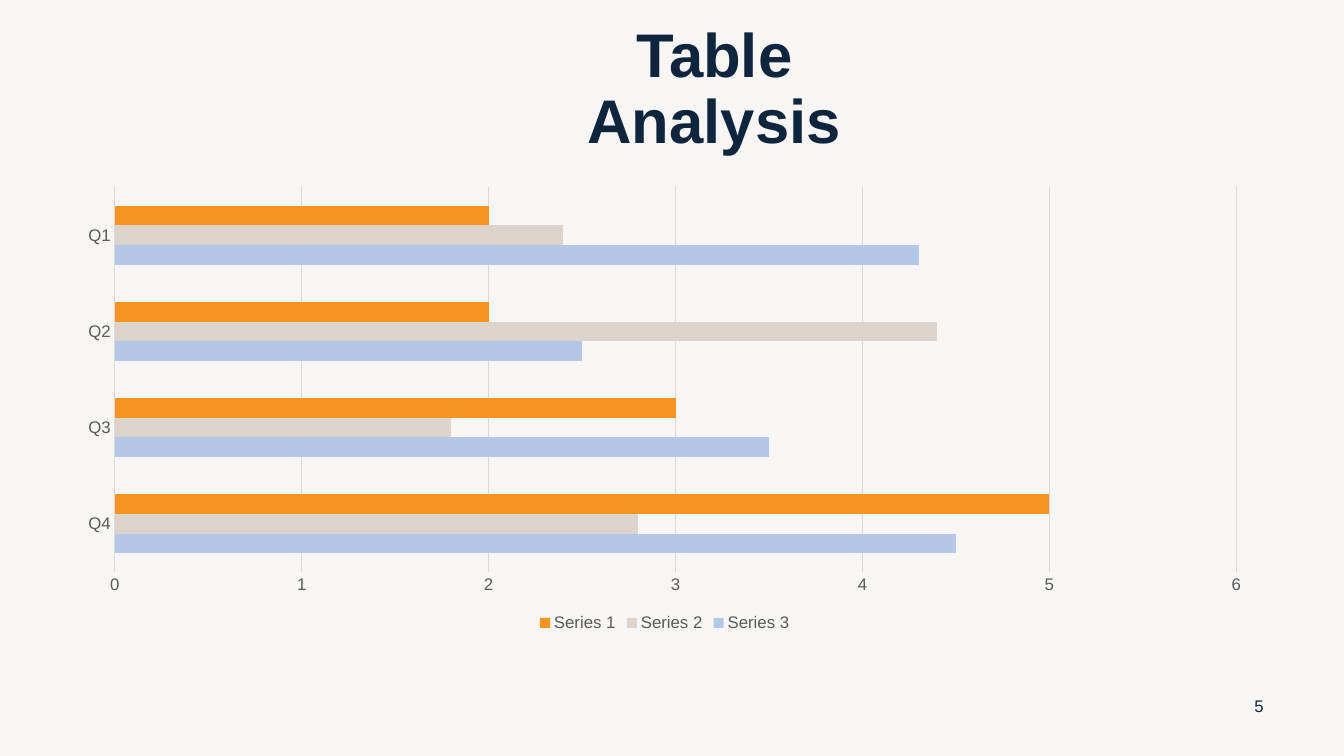
from pptx import Presentation
from pptx.chart.data import CategoryChartData
from pptx.dml.color import RGBColor
from pptx.enum.chart import XL_CHART_TYPE, XL_LEGEND_POSITION, XL_TICK_MARK
from pptx.enum.text import MSO_ANCHOR, PP_ALIGN
from pptx.util import Inches, Pt

COLORS = {
    "background": "F8F6F5",
    "navy": "0F253E",
    "label": "595959",
    "grid": "D9D9D9",
    "blue": "B4C7E7",
    "beige": "DCD3CC",
    "orange": "F79320",
}
FONT = "Arial"
COLUMNS, ROWS = 48, 27

QUARTERS = ["Q4", "Q3", "Q2", "Q1"]
SERIES = [
    ("Series 3", "blue", (4.5, 3.5, 2.5, 4.3)),
    ("Series 2", "beige", (2.8, 1.8, 4.4, 2.4)),
    ("Series 1", "orange", (5, 3, 2, 2)),
]


def apply(target, values):
    for name, value in values.items():
        setattr(target, name, value)


class SlideBuilder:
    """Holds the style, the grid and the current slide."""

    def __init__(self, deck):
        self.column = deck.slide_width / COLUMNS
        self.row = deck.slide_height / ROWS
        self.slide = deck.slides.add_slide(deck.slide_layouts[6])
        self.fill(self.slide.background, "background")

    def place(self, left, top, width, height):
        """Turn grid columns and rows into slide lengths."""
        return (round(left * self.column), round(top * self.row),
                round(width * self.column), round(height * self.row))

    def fill(self, target, color):
        target.fill.solid()
        target.fill.fore_color.rgb = RGBColor.from_string(COLORS[color])

    def style_font(self, font, size, color, bold=False):
        apply(font, {"name": FONT, "size": Pt(size), "bold": bold})
        font.color.rgb = RGBColor.from_string(COLORS[color])

    def style_line(self, line):
        line.width = Pt(0.75)
        line.color.rgb = RGBColor.from_string(COLORS["grid"])

    def text(self, area, words, size, bold=False, spacing=1.0):
        box = self.slide.shapes.add_textbox(*self.place(*area))
        frame = box.text_frame
        apply(frame, {"word_wrap": True, "vertical_anchor": MSO_ANCHOR.MIDDLE})
        para = frame.paragraphs[0]
        apply(para, {"alignment": PP_ALIGN.CENTER, "line_spacing": spacing})
        span = para.add_run()
        span.text = words
        self.style_font(span.font, size, "navy", bold)

    def bar_chart(self, area, categories, series):
        data = CategoryChartData()
        data.categories = categories
        for name, _, values in series:
            data.add_series(name, values)
        chart = self.slide.shapes.add_chart(
            XL_CHART_TYPE.BAR_CLUSTERED, *self.place(*area), data).chart
        apply(chart, {"has_title": False, "has_legend": True})
        self.style_font(chart.font, 12, "label")
        apply(chart.legend, {"position": XL_LEGEND_POSITION.BOTTOM,
                             "include_in_layout": False})
        self.style_font(chart.legend.font, 12, "label")

        plot = chart.plots[0]
        apply(plot, {"gap_width": 182, "overlap": 0, "vary_by_categories": False})
        for bars, (_, color, _) in zip(plot.series, series):
            self.fill(bars.format, color)
        self.style_axes(chart.category_axis, chart.value_axis)

    def style_axes(self, category_axis, value_axis):
        for axis in (category_axis, value_axis):
            apply(axis, {"major_tick_mark": XL_TICK_MARK.NONE,
                         "minor_tick_mark": XL_TICK_MARK.NONE})
            self.style_font(axis.tick_labels.font, 12, "label")
        self.style_line(category_axis.format.line)
        apply(value_axis, {"minimum_scale": 0, "maximum_scale": 6,
                           "major_unit": 1, "has_major_gridlines": True})
        self.style_line(value_axis.major_gridlines.format.line)
        value_axis.format.line.fill.background()


def main():
    deck = Presentation()
    apply(deck, {"slide_width": Inches(13.33), "slide_height": Inches(7.5)})
    page = SlideBuilder(deck)
    page.text((18.58, 1.04, 13.86, 4.39), "Table Analysis", 44,
              bold=True, spacing=0.9)
    page.bar_chart((2.3, 6.37, 42.88, 16.34), QUARTERS, SERIES)
    page.text((44.07, 24.48, 1.8, 1.44), "5", 12)
    deck.save("out.pptx")


if __name__ == "__main__":
    main()
